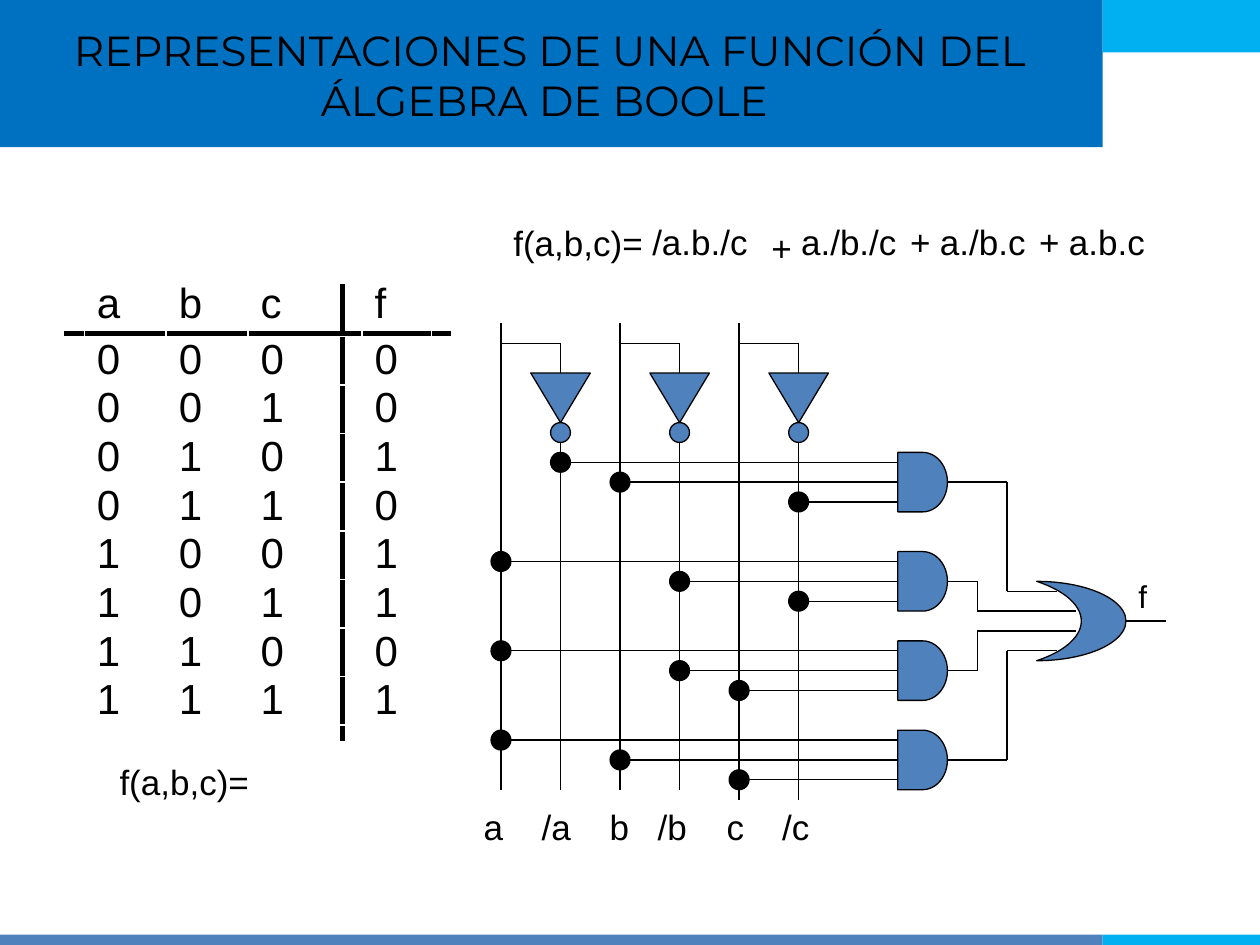
from lxml import etree
from pptx import Presentation
from pptx.dml.color import RGBColor
from pptx.enum.shapes import MSO_CONNECTOR, MSO_SHAPE
from pptx.enum.text import MSO_ANCHOR, MSO_AUTO_SIZE, PP_ALIGN
from pptx.oxml.ns import qn
from pptx.util import Cm, Pt

BLACK, BLUE, SKY, STEEL = "000000", "0070C0", "00B0F0", "4F81BD"
TRUTH_ROWS = ["abcf", "0000", "0010", "0101", "0110", "1001", "1011", "1100", "1111"]
# Wires feeding each AND gate: 0 a, 1 /a, 2 b, 3 /b, 4 c, 5 /c
MINTERMS = [(1, 2, 5), (0, 3, 5), (0, 3, 4), (0, 2, 4)]


def rgb(hex_color):
    return RGBColor.from_string(hex_color)


def set_font(item, size, name="Arial"):
    for key, value in {"size": Pt(size), "name": name, "bold": False}.items():
        setattr(item.font, key, value)
    item.font.color.rgb = rgb(BLACK)


def add_line(shapes, x1, y1, x2, y2, width=0.75):
    line = shapes.add_connector(MSO_CONNECTOR.STRAIGHT, Cm(x1), Cm(y1), Cm(x2), Cm(y2))
    line.line.color.rgb = rgb(BLACK)
    line.line.width = Pt(width)
    etree.SubElement(line._element.spPr, qn("a:effectLst"))


def add_polyline(shapes, points):
    for start, end in zip(points, points[1:]):
        add_line(shapes, *start, *end)


def add_figure(shapes, kind, x, y, w, h, fill, outline=True, rotation=0):
    sp = shapes.add_shape(kind, Cm(x), Cm(y), Cm(w), Cm(h))
    sp.shadow.inherit = False
    sp.rotation = rotation
    sp.fill.solid()
    sp.fill.fore_color.rgb = rgb(fill)
    if outline:
        sp.line.color.rgb = rgb(BLACK)
        sp.line.width = Pt(0.75)
    else:
        sp.line.fill.background()
    return sp


def add_text(shapes, text, x, y, w, h=1.12, size=20, tabs=()):
    tf = shapes.add_textbox(Cm(x), Cm(y), Cm(w), Cm(h)).text_frame
    tf.word_wrap = True
    tf.auto_size = MSO_AUTO_SIZE.SHAPE_TO_FIT_TEXT
    p = tf.paragraphs[0]
    if tabs:
        tab_list = etree.SubElement(p._p.get_or_add_pPr(), qn("a:tabLst"))
        for pos in tabs:
            etree.SubElement(tab_list, qn("a:tab"), pos=str(Cm(pos)), algn="l")
    r = p.add_run()
    r.text = text
    set_font(r, size)


def add_bars(s, width, height):
    """Header and footer bands, split at the same column."""
    split, foot = 22.23, 0.21
    shapes = s.shapes.add_group_shape().shapes
    for x, y, w, h, color in [
        (0, 0, split, 2.97, BLUE),
        (split, 0, width - split, 1.06, SKY),
        (0, height - foot, split, foot, STEEL),
        (split, height - foot, width - split, foot, SKY),
    ]:
        add_figure(shapes, MSO_SHAPE.RECTANGLE, x, y, w, h, color, outline=False)


def add_title(s, x, y, w, h):
    title = s.shapes.title
    box = {"left": x, "top": y, "width": w, "height": h}
    for key, value in box.items():
        setattr(title, key, Cm(value))
    tf = title.text_frame
    for key, value in {"word_wrap": True, "auto_size": MSO_AUTO_SIZE.NONE,
                       "vertical_anchor": MSO_ANCHOR.MIDDLE}.items():
        setattr(tf, key, value)
    p = tf.paragraphs[0]
    p.alignment = PP_ALIGN.CENTER
    r = p.add_run()
    r.text = "REPRESENTACIONES DE UNA FUNCIÓN DEL ÁLGEBRA DE BOOLE "
    set_font(r, 24, "Montserrat")
    # Bring the title in front of the header band
    s.shapes._spTree.append(title._element)


def add_truth_table(s, x, y):
    add_line(s.shapes, x, y + 1.01, x + 7.8, y + 1.01, 3)
    add_line(s.shapes, x + 5.61, y, x + 5.61, y + 9.22, 3)
    widths, head, row = (1.65, 1.65, 2.3, 1.4), 1.12, 0.98
    count = len(TRUTH_ROWS)
    table = s.shapes.add_table(count, len(widths), Cm(x + 0.4), Cm(y - 0.06),
                               Cm(sum(widths)), Cm(head + row * (count - 1))).table
    table.first_row = table.horz_banding = False
    for col, width in zip(table.columns, widths):
        col.width = Cm(width)
    for i, values in enumerate(TRUTH_ROWS):
        table.rows[i].height = Cm(row if i else head)
        for j, value in enumerate(values):
            cell = table.cell(i, j)
            cell.fill.background()
            cell.margin_top = cell.margin_bottom = 0
            r = cell.text_frame.paragraphs[0].add_run()
            r.text = value
            set_font(r, 24)


def add_formula(s, x, y):
    for text, dx, dy, w in [
        ("f(a,b,c)=", 0, 0.02, 3.8), ("/a.b./c", 2.8, 0, 2.6),
        ("+", 5.2, 0.13, 1), ("a./b./c", 5.8, 0, 2.6),
        ("+", 8, 0, 1), ("a./b.c", 8.6, 0, 2.4),
        ("+", 10.6, 0, 1), ("a.b.c", 11.2, 0, 2.2),
    ]:
        add_text(s.shapes, text, x + dx, y + dy, w)


def add_input(s, x, y, length):
    """One variable wire with its inverter and negated wire."""
    neg = x + 1.2
    add_line(s.shapes, x, y, x, y + length, 1)
    add_polyline(s.shapes, [(x, y + 0.4), (neg, y + 0.4), (neg, y + 1)])
    add_line(s.shapes, neg, y + 2.4, neg, y + length, 1)
    inverter = s.shapes.add_group_shape().shapes
    add_figure(inverter, MSO_SHAPE.FLOWCHART_EXTRACT, neg - 0.6, y + 1, 1.2, 1, STEEL, rotation=180)
    add_figure(inverter, MSO_SHAPE.OVAL, neg - 0.2, y + 2, 0.4, 0.4, STEEL)


def add_and_gate(s, x, y, wire_xs):
    """AND gate at x, y with a dotted junction on each input wire."""
    for i, wire_x in enumerate(wire_xs):
        in_y = y + 0.2 + 0.4 * i
        add_line(s.shapes, wire_x, in_y, x, in_y)
        add_figure(s.shapes, MSO_SHAPE.OVAL, wire_x - 0.2, in_y - 0.2, 0.4, 0.4, BLACK)
    add_figure(s.shapes, MSO_SHAPE.FLOWCHART_DELAY, x, y, 1, 1.2, STEEL)


def add_circuit(s, x, y):
    for i, length in enumerate((9.4, 9.4, 9.6)):
        add_input(s, x + 2.4 * i, y, length)
    add_text(s.shapes, "a\t/a\tb\t/b\tc\t/c", x - 0.6, y + 9.6, 7.2,
             tabs=(1.17, 2.54, 3.51, 4.9, 6.02))

    # OR gate and its output
    or_x, or_y = x + 10.8, y + 5.2
    moon = add_figure(s.shapes, MSO_SHAPE.MOON, or_x, or_y, 1.8, 1.6, STEEL)
    moon._element.spPr.xfrm.set("flipH", "1")
    add_line(s.shapes, or_x + 1.8, or_y + 0.8, or_x + 2.6, or_y + 0.8)
    add_text(s.shapes, "f", or_x + 1.8, or_y - 0.22, 1, 1.02, size=18)

    # AND gates wired to the OR gate; outer pair bends further right
    for i, (wires, top) in enumerate(zip(MINTERMS, (2.6, 4.6, 6.4, 8.2))):
        add_and_gate(s, x + 8, y + top, [x + 1.2 * n for n in wires])
        bend, end = (10.2, 11.2) if i in (0, 3) else (9.6, 11.6)
        out_y, in_y = y + top + 0.6, or_y + 0.2 + 0.4 * i
        add_polyline(s.shapes, [(x + 9, out_y), (x + bend, out_y),
                                (x + bend, in_y), (x + end, in_y)])


def main():
    prs = Presentation()
    prs.slide_width, prs.slide_height = Cm(25.4), Cm(19.05)
    s = prs.slides.add_slide(prs.slide_layouts[5])
    add_bars(s, 25.4, 19.05)
    add_title(s, 0.28, 0.28, 21.6, 2.46)
    add_truth_table(s, 1.3, 5.72)
    add_formula(s, 10.1, 4.32)
    add_text(s.shapes, "f(a,b,c)=", 2.16, 15.21, 3.8)
    add_circuit(s, 10.1, 6.52)
    prs.save("out.pptx")


if __name__ == "__main__":
    main()
